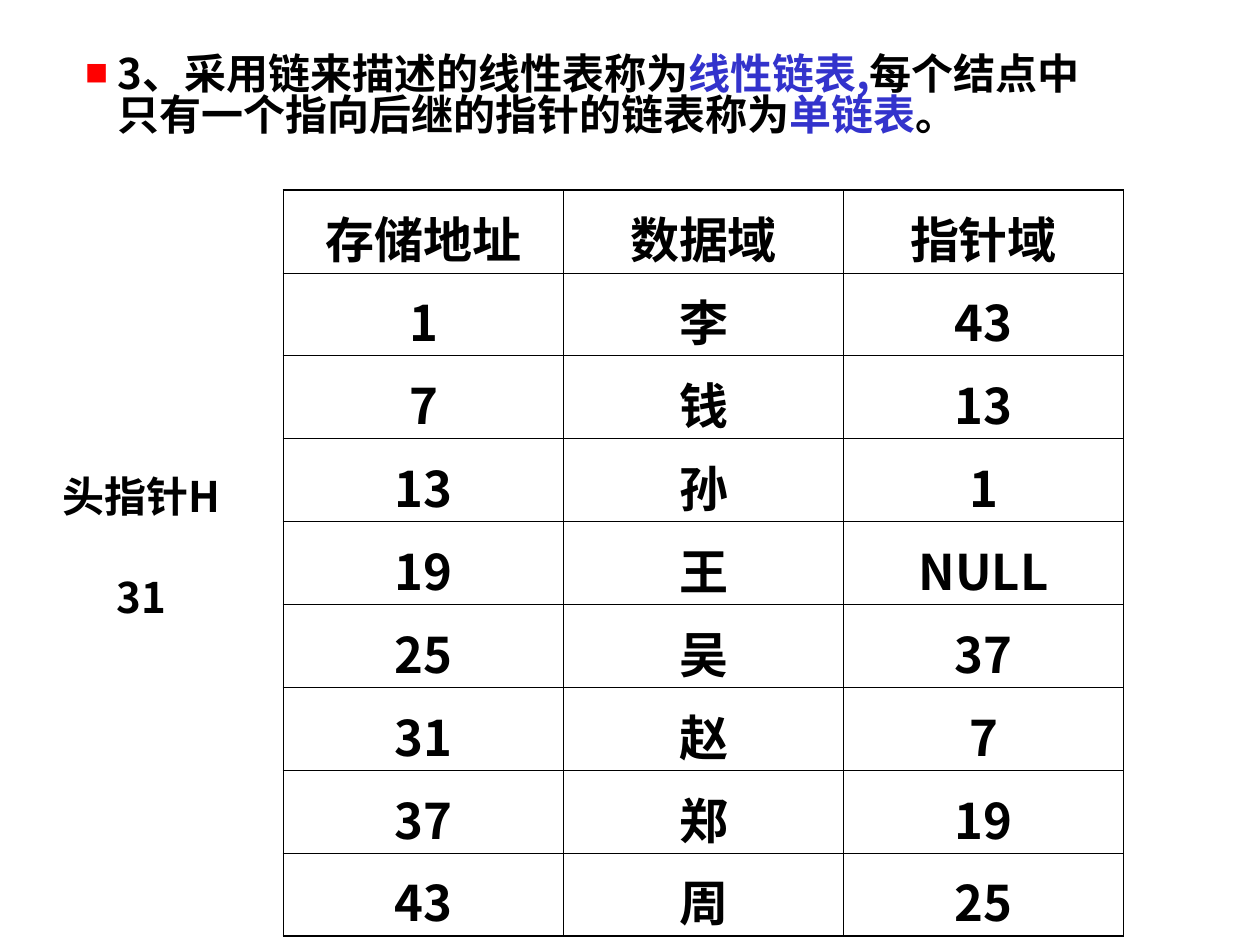
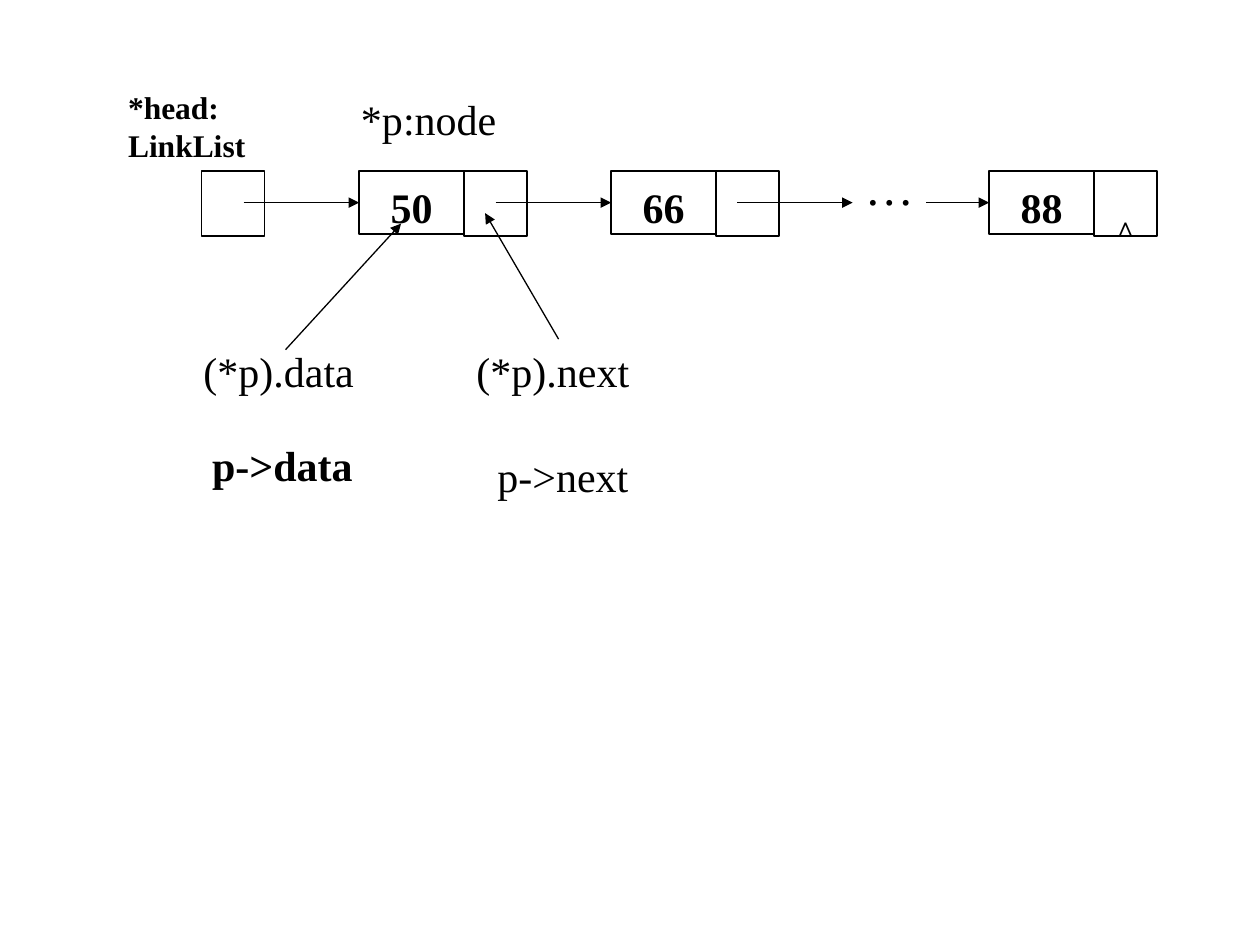
from lxml import etree
from pptx import Presentation, util as u
from pptx.dml.color import RGBColor
from pptx.enum import shapes, text
from pptx.oxml import ns

WIDTH, HEIGHT = u.Inches(10), u.Inches(7.5)
COLUMNS, ROWS = 120, 90
BLACK, WHITE, BLUE, RED = "000000", "FFFFFF", "3333CC", "FF0000"
CHINESE, LATIN = "Noto Sans CJK SC", "Times New Roman"
CENTER = text.PP_ALIGN.CENTER
MIDDLE = text.MSO_ANCHOR.MIDDLE


def color(value):
    return RGBColor.from_string(value)


def x(columns):
    return round(WIDTH * columns / COLUMNS)


def y(rows):
    return round(HEIGHT * rows / ROWS)


def add_element(parent, tag, **attributes):
    return etree.SubElement(parent, ns.qn(tag), attributes)


def write(frame, paragraphs, font=LATIN, size=24, bold=False, align=None, gap=0,
          spacing=None, bullet=None, baseline=None):
    for index, content in enumerate(paragraphs):
        paragraph = frame.paragraphs[0] if index == 0 else frame.add_paragraph()
        if bullet:
            add_bullet(paragraph, bullet)
        paragraph.alignment = align
        paragraph.line_spacing = spacing
        if index and gap:
            paragraph.space_before = u.Pt(gap)
        parts = [(content, BLACK)] if isinstance(content, str) else content
        for words, shade in parts:
            run = paragraph.add_run()
            run.text = words
            run.font.size = u.Pt(size)
            run.font.bold = bold
            run.font.color.rgb = color(shade)
            run.font.name = font
            properties = run.font._element
            add_element(properties, "a:ea", typeface=font)
            if baseline:
                properties.set("baseline", str(baseline))


def add_bullet(paragraph, symbol):
    properties = paragraph._p.get_or_add_pPr()
    properties.set("marL", str(u.Inches(0.5)))
    properties.set("indent", str(-u.Inches(0.25)))
    shade = add_element(properties, "a:buClr")
    add_element(shade, "a:srgbClr", val=RED)
    add_element(properties, "a:buSzPct", val="55000")
    add_element(properties, "a:buFont", typeface=CHINESE)
    add_element(properties, "a:buChar", char=symbol)


def add_border(cell, side, width):
    line = add_element(cell._tc.get_or_add_tcPr(), "a:ln" + side, w=str(u.Pt(width)))
    fill = add_element(line, "a:solidFill")
    add_element(fill, "a:srgbClr", val=BLACK)


class Deck:
    thin, thick, line_width = 0.45, 1.08, 0.75

    def __init__(self):
        self.presentation = Presentation()
        self.presentation.slide_width = WIDTH
        self.presentation.slide_height = HEIGHT
        self.slide = None

    def new_slide(self):
        self.slide = self.presentation.slides.add_slide(self.presentation.slide_layouts[6])
        self.slide.background.fill.solid()
        self.slide.background.fill.fore_color.rgb = color(WHITE)

    def set_frame(self, shape, paragraphs, side=1.2, inset=0.6, anchor=text.MSO_ANCHOR.TOP,
                  wrap=True, **style):
        frame = shape.text_frame
        frame.margin_left = frame.margin_right = x(side)
        frame.margin_top, frame.margin_bottom = y(inset), y(0.6)
        frame.vertical_anchor = anchor
        frame.word_wrap = wrap
        write(frame, paragraphs, **style)

    def label(self, left, top, width, height, paragraphs, **style):
        shape = self.slide.shapes.add_textbox(x(left), y(top), x(width), y(height))
        self.set_frame(shape, paragraphs, **style)

    def box(self, left, top, width, height, paragraphs=(), **style):
        shape = self.slide.shapes.add_shape(
            shapes.MSO_SHAPE.RECTANGLE, x(left), y(top), x(width), y(height))
        shape.shadow.inherit = False
        shape.fill.background()
        shape.line.color.rgb = color(BLACK)
        shape.line.width = u.Pt(self.line_width)
        self.set_frame(shape, paragraphs, align=CENTER, **style)

    def arrow(self, start, end):
        connector = self.slide.shapes.add_connector(
            shapes.MSO_CONNECTOR.STRAIGHT, x(start[0]), y(start[1]), x(end[0]), y(end[1]))
        connector.line.color.rgb = color(BLACK)
        connector.line.width = u.Pt(self.line_width)
        add_element(connector.line._get_or_add_ln(), "a:tailEnd", type="triangle")
        add_element(connector._element.spPr, "a:effectLst")

    def table(self, left, top, width, row_height, records):
        rows, columns = len(records), len(records[0])
        table = self.slide.shapes.add_table(
            rows, columns, x(left), y(top), x(width), y(row_height * rows)).table
        table.first_row = table.horz_banding = False
        for column in table.columns:
            column.width = x(width / columns)
        for i, record in enumerate(records):
            table.rows[i].height = y(row_height)
            for j, value in enumerate(record):
                cell = table.cell(i, j)
                cell.margin_left = cell.margin_right = x(1.2)
                cell.margin_top, cell.margin_bottom = y(1.15), 0
                outer = {"L": j == 0, "R": j == columns - 1, "T": i == 0, "B": i == rows - 1}
                for side, is_outer in outer.items():
                    add_border(cell, side, self.thick if is_outer else self.thin)
                cell.fill.background()
                write(cell.text_frame, [value], font=CHINESE, size=28, bold=True, align=CENTER)


def storage_slide(deck):
    deck.new_slide()
    deck.table(27, 18.1, 80, 6.8, [
        ("存储地址", "数据域", "指针域"),
        ("1", "李", "43"),
        ("7", "钱", "13"),
        ("13", "孙", "1"),
        ("19", "王", "NULL"),
        ("25", "吴", "37"),
        ("31", "赵", "7"),
        ("37", "郑", "19"),
        ("43", "周", "25"),
    ])
    deck.label(4, 37, 19, 30, ["头指针H", "31"], anchor=MIDDLE, wrap=False,
               font=CHINESE, bold=True, align=CENTER, gap=29)
    definition = [
        ("3、采用链来描述的线性表称为", BLACK),
        ("线性链表,", BLUE),
        ("每个结点中只有一个指向后继的指针的链表称为", BLACK),
        ("单链表", BLUE),
        ("。", BLACK),
    ]
    deck.label(4, 4.9, 102.6, 8.9, [definition], font=CHINESE, bold=True,
               spacing=0.8, bullet="■")


def linked_list_slide(deck):
    data_width, link_width, data_height, link_height = 10, 6, 6, 6.2
    top, first, step = 16.3, 34.2, 24
    middle = top + 3
    deck.new_slide()
    for left, value, link in ((first, "50", ""), (first + step, "66", ""),
                              (first + 2.5 * step, "88", "∧")):
        deck.box(left, top, data_width, data_height, [value], inset=1, bold=True)
        deck.box(left + data_width, top, link_width, link_height, [link] if link else (),
                 inset=1.1, bold=True, baseline=-25000)
    deck.box(19.2, top, link_width, link_height)
    for start, end in ((23.2, 34.2), (47.2, 58.2), (70.2, 81.2), (88.2, 94.2)):
        deck.arrow((start, middle), (end, middle))
    deck.arrow((27.2, 33.3), (38.2, 21.3))
    deck.arrow((53.2, 32.3), (46.2, 20.3))
    deck.label(81.2, 14.3, 8, 6.8, ["…"], size=28)
    deck.label(12.2, 8.3, 18, 7.9, ["*head:", "LinkList"], size=18, bold=True, side=0, inset=0.1)
    deck.label(33.2, 8.3, 16, 6, ["*p:node"])
    deck.label(18.2, 32.3, 19, 6, ["(*p).data"])
    deck.label(44.2, 32.3, 19, 6, ["(*p).next"])
    deck.label(20.2, 41.3, 15, 6, ["p->data"], side=0, bold=True)
    deck.label(46.2, 42.3, 17, 6, ["p->next"])


def main():
    deck = Deck()
    storage_slide(deck)
    linked_list_slide(deck)
    deck.presentation.save("out.pptx")


if __name__ == "__main__":
    main()
